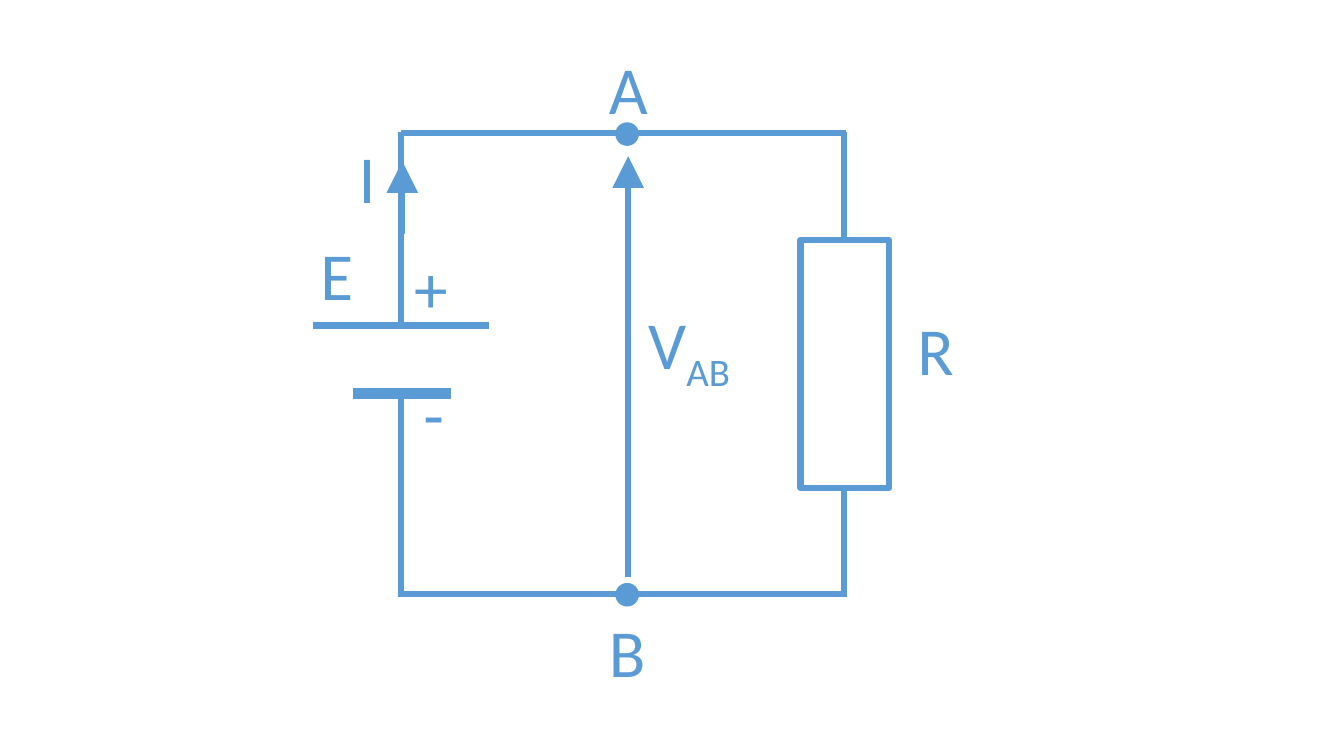
from dataclasses import dataclass

from lxml import etree
from pptx import Presentation
from pptx import util as u
from pptx.dml.color import RGBColor
from pptx.enum import shapes, text
from pptx.oxml import ns

SCALE = 9144


@dataclass(frozen=True)
class Theme:
    ink: RGBColor = RGBColor(0x5B, 0x9B, 0xD5)
    paper: RGBColor = RGBColor(0xFF, 0xFF, 0xFF)
    font: str = "Calibri"
    size: float = 48
    wire: float = 4.5
    plate: float = 8
    rim: float = 1


@dataclass(frozen=True)
class Wire:
    x1: int
    y1: int
    x2: int
    y2: int
    width: float
    arrow: bool = False


@dataclass(frozen=True)
class Part:
    kind: shapes.MSO_SHAPE
    x: int
    y: int
    w: int
    h: int
    fill: RGBColor
    width: float


@dataclass(frozen=True)
class Label:
    word: str
    x: int
    y: int
    w: int
    h: int = 91
    sub: str = ""


THEME = Theme()
RECT = shapes.MSO_SHAPE.RECTANGLE
OVAL = shapes.MSO_SHAPE.OVAL

WIRES = [
    Wire(398, 131, 398, 324, THEME.wire),
    Wire(398, 392, 398, 590, THEME.wire),
    Wire(447, 390, 350, 390, THEME.plate),
    Wire(485, 323, 310, 323, THEME.wire),
    Wire(839, 132, 398, 132, THEME.wire),
    Wire(840, 589, 395, 589, THEME.wire),
    Wire(837, 131, 837, 590, THEME.wire),
    Wire(623, 155, 623, 572, THEME.wire, True),
    Wire(399, 160, 399, 232, THEME.wire, True),
]

PARTS = [
    Part(RECT, 794, 238, 88, 246, THEME.paper, THEME.wire),
    Part(OVAL, 611, 122, 22, 22, THEME.ink, THEME.rim),
    Part(OVAL, 611, 579, 22, 22, THEME.ink, THEME.rim),
]

LABELS = [
    Label("+", 401, 239, 92, 156),
    Label("-", 410, 364, 70, 156),
    Label("E", 308, 227, 91, 156),
    Label("R", 900, 301, 57),
    Label("A", 594, 42, 59),
    Label("B", 594, 601, 57),
    Label("V", 633, 295, 106, sub="AB"),
    Label("I", 346, 130, 37),
]


def px(*marks: int) -> list[u.Emu]:
    return [u.Emu(mark * SCALE) for mark in marks]


def draw_wire(slide, wire: Wire) -> None:
    line = slide.shapes.add_connector(
        shapes.MSO_CONNECTOR.STRAIGHT,
        *px(wire.x1, wire.y1, wire.x2, wire.y2),
    )
    line.line.color.rgb = THEME.ink
    line.line.width = u.Pt(wire.width)
    props = line._element.spPr
    etree.SubElement(props, ns.qn("a:effectLst"))
    if wire.arrow:
        head = etree.SubElement(props.find(ns.qn("a:ln")), ns.qn("a:headEnd"))
        head.set("type", "triangle")
        head.set("w", "lg")
        head.set("len", "lg")


def draw_part(slide, part: Part) -> None:
    shape = slide.shapes.add_shape(
        part.kind, *px(part.x, part.y, part.w, part.h)
    )
    shape.shadow.inherit = False
    shape.fill.solid()
    shape.fill.fore_color.rgb = part.fill
    shape.line.color.rgb = THEME.ink
    shape.line.width = u.Pt(part.width)


def draw_label(slide, label: Label) -> None:
    box = slide.shapes.add_textbox(*px(label.x, label.y, label.w, label.h))
    frame = box.text_frame
    frame.word_wrap = False
    frame.auto_size = text.MSO_AUTO_SIZE.SHAPE_TO_FIT_TEXT
    frame.text = label.word
    line = frame.paragraphs[0]
    if label.sub:
        run = line.add_run()
        run.text = label.sub
        run._r.get_or_add_rPr().set("baseline", "-25000")
    for run in line.runs:
        run.font.name = THEME.font
        run.font.size = u.Pt(THEME.size)
        run.font.color.rgb = THEME.ink


def main() -> None:
    deck = Presentation()
    deck.slide_width, deck.slide_height = px(1333, 750)
    slide = deck.slides.add_slide(deck.slide_layouts[6])
    for wire in WIRES:
        draw_wire(slide, wire)
    for part in PARTS:
        draw_part(slide, part)
    for label in LABELS:
        draw_label(slide, label)
    deck.save("out.pptx")


if __name__ == "__main__":
    main()
